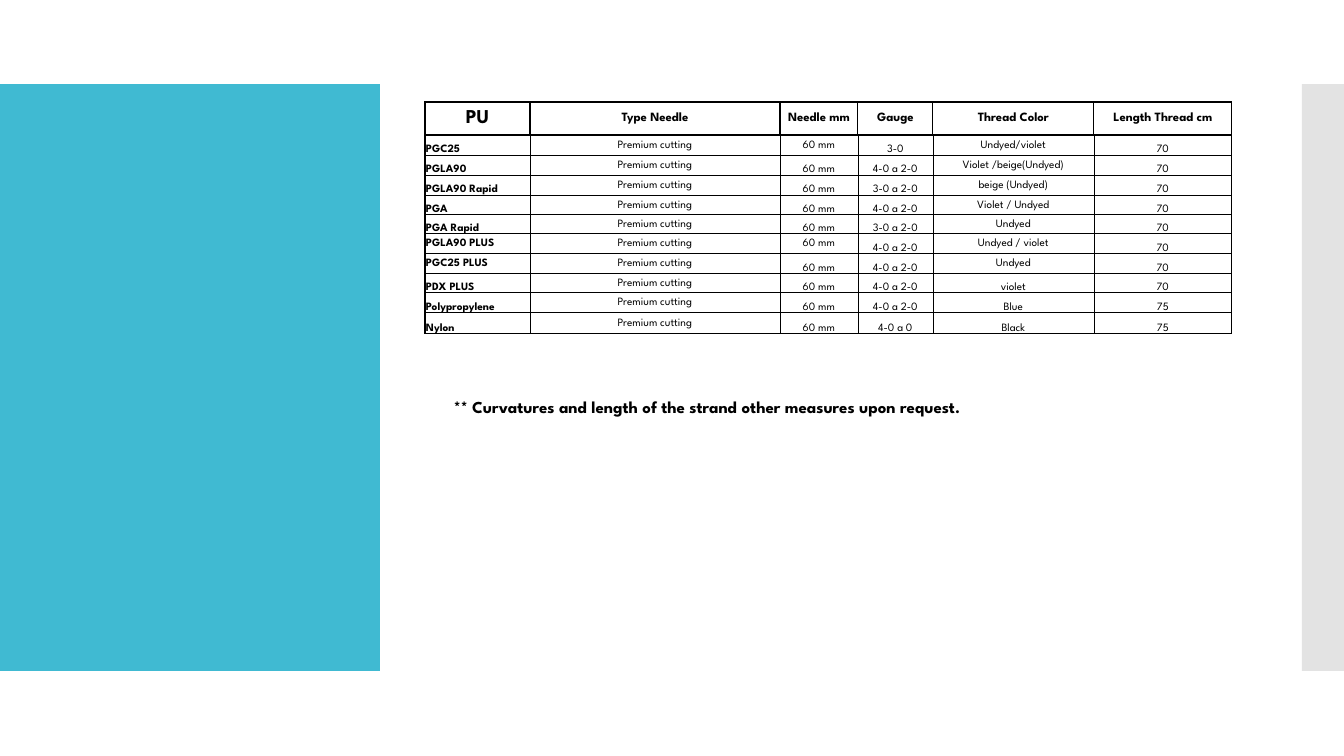
import dataclasses
import typing

import lxml.etree
import pptx
import pptx.dml.color
import pptx.enum.shapes
import pptx.enum.text
import pptx.oxml.ns
import pptx.util

EMU_PER_PX = 914400 / 100.8
BLACK = pptx.dml.color.RGBColor(0x00, 0x00, 0x00)
WHITE = pptx.dml.color.RGBColor(0xFF, 0xFF, 0xFF)
TEAL = pptx.dml.color.RGBColor(0x40, 0xBA, 0xD2)
GRAY = pptx.dml.color.RGBColor(0xC8, 0xC8, 0xC8)
FONT = "League Spartan"
THIN, THICK = 0.5, 1
ANCHORS = {
    "m": pptx.enum.text.MSO_ANCHOR.MIDDLE,
    "b": pptx.enum.text.MSO_ANCHOR.BOTTOM,
}
LEFT = pptx.enum.text.PP_ALIGN.LEFT
CENTER = pptx.enum.text.PP_ALIGN.CENTER


@dataclasses.dataclass(frozen=True)
class Panel:
    left: int
    top: int
    width: int
    height: int
    color: pptx.dml.color.RGBColor
    opacity: int


@dataclasses.dataclass(frozen=True)
class Suture:
    material: str
    gauge: str
    color: str
    length: str
    height: int
    anchors: str

    def texts(self) -> tuple[str, ...]:
        return (self.material, "Premium cutting", "60 mm",
                self.gauge, self.color, self.length)


PANELS = (
    Panel(0, 84, 380, 587, TEAL, 100),
    Panel(1302, 84, 42, 587, GRAY, 50),
)
HEADINGS = ("PU", "Type Needle", "Needle mm", "Gauge", "Thread Color", "Length Thread cm")
HEADING_HEIGHT = 33
COLUMN_WIDTHS = (105, 250, 78, 75, 161, 138)
SUTURES = (
    Suture("PGC25", "3-0", "Undyed/violet", "70", 20, "bmmbmb"),
    Suture("PGLA90", "4-0 a 2-0", "Violet /beige(Undyed)", "70", 20, "bmbbmb"),
    Suture("PGLA90 Rapid", "3-0 a 2-0", "beige (Undyed)", "70", 20, "bmbbmb"),
    Suture("PGA", "4-0 a 2-0", "Violet / Undyed", "70", 20, "bmbbmb"),
    Suture("PGA Rapid", "3-0 a 2-0", "Undyed", "70", 19, "bmbbmb"),
    Suture("PGLA90 PLUS", "4-0 a 2-0", "Undyed / violet", "70", 20, "mmmbmb"),
    Suture("PGC25 PLUS", "4-0 a 2-0", "Undyed", "70", 20, "mmbbmb"),
    Suture("PDX PLUS", "4-0 a 2-0", "violet", "70", 19, "bmbbbb"),
    Suture("Polypropylene", "4-0 a 2-0", "Blue", "75", 20, "bmbbbb"),
    Suture("Nylon", "4-0 a 0", "Black", "75", 21, "bmbbbb"),
)


def px(length: int) -> pptx.util.Emu:
    return pptx.util.Emu(round(length * EMU_PER_PX))


def apply_format(target: typing.Any, values: dict[str, typing.Any]) -> None:
    for name, value in values.items():
        setattr(target, name, value)


def write_text(frame: typing.Any, text: str, size: int, bold: bool,
               alignment: typing.Any) -> None:
    paragraph = frame.paragraphs[0]
    paragraph.alignment = alignment
    run = paragraph.add_run()
    run.text = text
    apply_format(run.font, {"name": FONT, "size": pptx.util.Pt(size), "bold": bold})
    run.font.color.rgb = BLACK


def draw_panel(slide: typing.Any, panel: Panel) -> None:
    shape = slide.shapes.add_shape(
        pptx.enum.shapes.MSO_SHAPE.RECTANGLE,
        px(panel.left), px(panel.top), px(panel.width), px(panel.height))
    shape.shadow.inherit = False
    shape.fill.solid()
    shape.fill.fore_color.rgb = panel.color
    shape.line.fill.background()
    if panel.opacity < 100:
        color = shape.fill._xPr.find(".//" + pptx.oxml.ns.qn("a:srgbClr"))
        lxml.etree.SubElement(color, pptx.oxml.ns.qn("a:alpha"),
                              val=str(panel.opacity * 1000))


def draw_borders(cell: typing.Any, widths: dict[str, float]) -> None:
    properties = cell._tc.get_or_add_tcPr()
    for side, width in widths.items():
        line = lxml.etree.SubElement(properties, pptx.oxml.ns.qn(f"a:ln{side}"),
                                     w=str(pptx.util.Pt(width)))
        fill = lxml.etree.SubElement(line, pptx.oxml.ns.qn("a:solidFill"))
        lxml.etree.SubElement(fill, pptx.oxml.ns.qn("a:srgbClr"), val=str(BLACK))


def border_widths(row: int, column: int) -> dict[str, float]:
    heading = row == 0
    return {
        "L": THICK if heading or column == 0 else THIN,
        "R": THICK if heading or column == len(HEADINGS) - 1 else THIN,
        "T": THICK if row <= 1 else THIN,
        "B": THICK if heading or row == len(SUTURES) else THIN,
    }


def draw_cell(cell: typing.Any, row: int, column: int, text: str, anchor: str) -> None:
    heading = row == 0
    material = column == 0
    apply_format(cell, {
        "margin_left": px(1), "margin_right": px(1),
        "margin_top": px(1), "margin_bottom": 0,
        "vertical_anchor": ANCHORS[anchor],
    })
    draw_borders(cell, border_widths(row, column))
    if material:
        cell.fill.background()
    else:
        cell.fill.solid()
        cell.fill.fore_color.rgb = WHITE
    size = (14 if material else 9) if heading else 8
    write_text(cell.text_frame, text, size, heading or material,
               LEFT if material and not heading else CENTER)


def draw_suture_table(slide: typing.Any) -> None:
    heights = (HEADING_HEIGHT, *(suture.height for suture in SUTURES))
    table = slide.shapes.add_table(
        len(heights), len(HEADINGS), px(425), px(102),
        px(sum(COLUMN_WIDTHS)), px(sum(heights))).table
    apply_format(table, {"first_row": False, "horz_banding": False})
    for column, width in zip(table.columns, COLUMN_WIDTHS):
        column.width = px(width)
    for row, height in zip(table.rows, heights):
        row.height = px(height)
    contents = [(HEADINGS, "m" * len(HEADINGS))]
    contents += [(suture.texts(), suture.anchors) for suture in SUTURES]
    for row, (texts, anchors) in enumerate(contents):
        for column, (text, anchor) in enumerate(zip(texts, anchors)):
            draw_cell(table.cell(row, column), row, column, text, anchor)


def draw_request_note(slide: typing.Any) -> None:
    note = slide.shapes.add_textbox(px(444), px(383), px(769), px(40))
    apply_format(note.text_frame, {
        "word_wrap": True, "margin_top": px(13), "margin_bottom": px(5),
        "vertical_anchor": ANCHORS["m"],
    })
    write_text(note.text_frame,
               "** Curvatures and length of the strand other measures upon request.",
               12, True, LEFT)


def main() -> None:
    presentation = pptx.Presentation()
    apply_format(presentation, {"slide_width": px(1344), "slide_height": px(756)})
    slide = presentation.slides.add_slide(presentation.slide_layouts[6])
    for panel in PANELS:
        draw_panel(slide, panel)
    draw_request_note(slide)
    draw_suture_table(slide)
    presentation.save("out.pptx")


if __name__ == "__main__":
    main()
